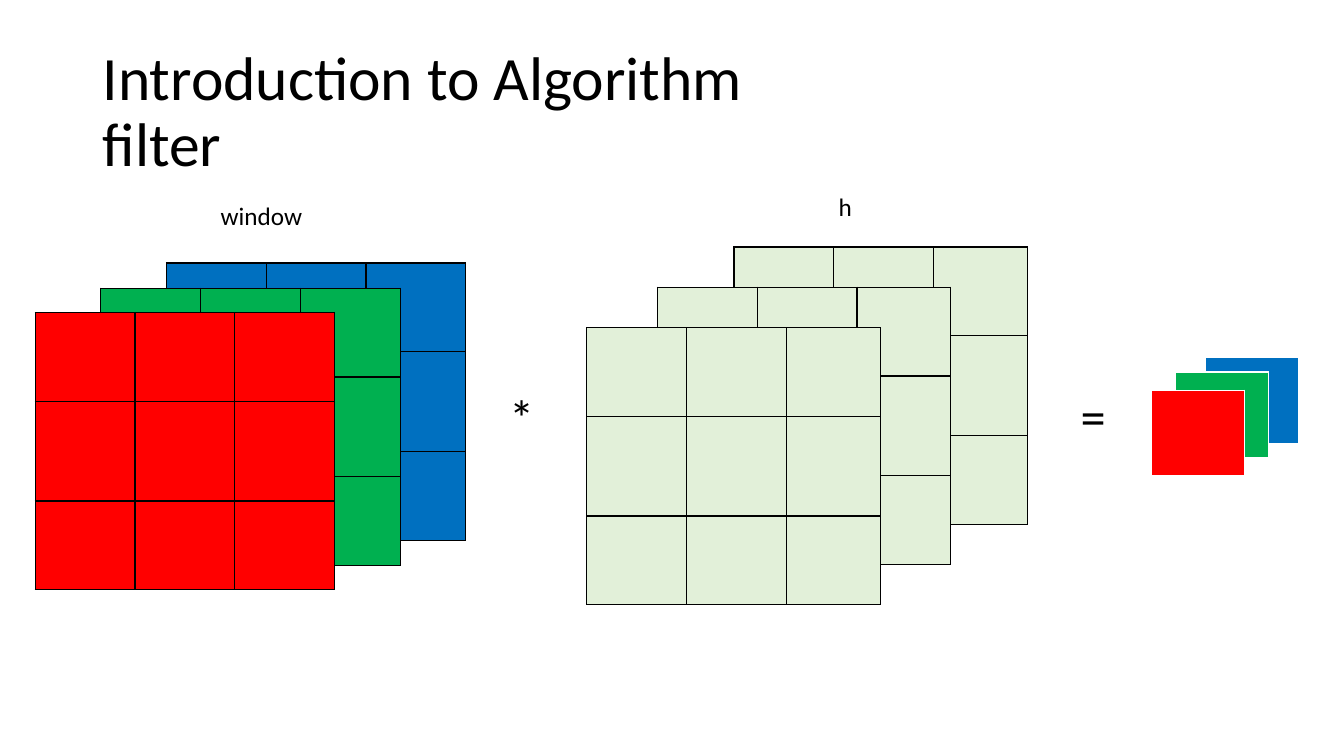
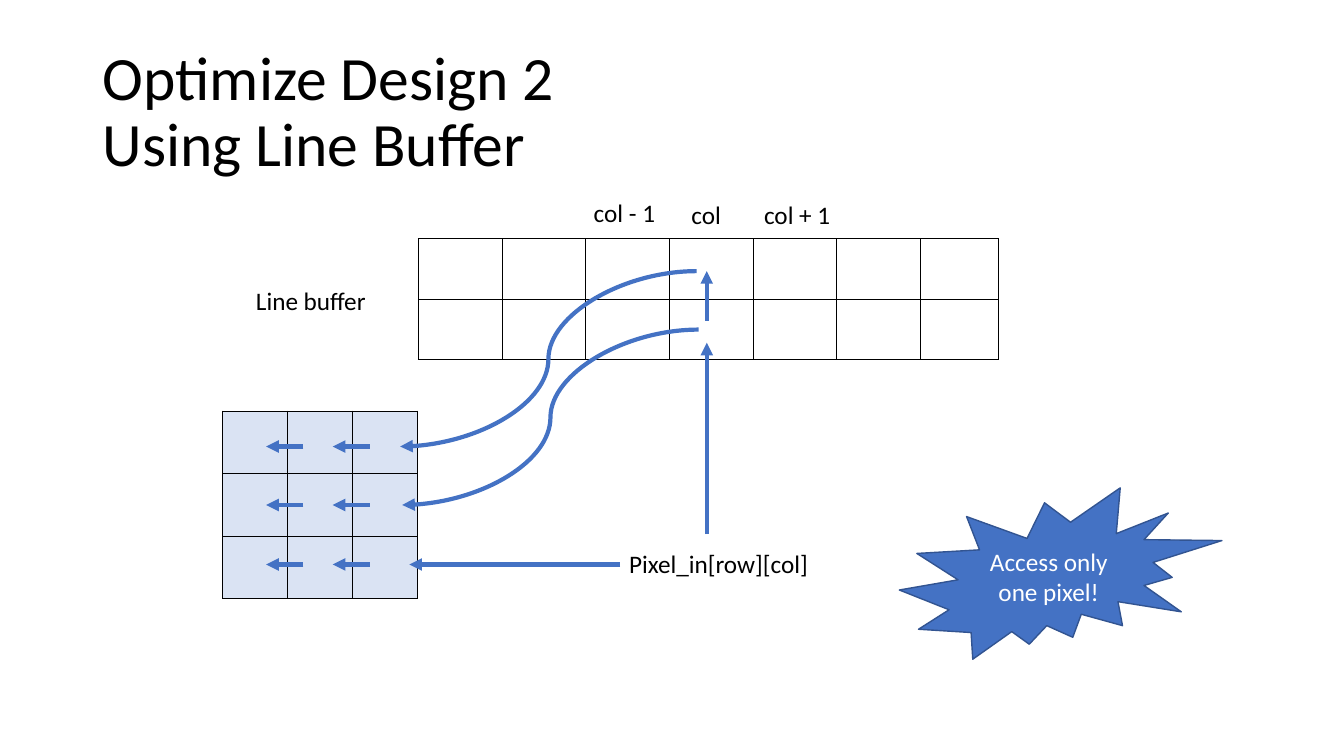
from lxml import etree
from pptx import Presentation, util as u
from pptx.dml import color
from pptx.enum import shapes, text
from pptx.oxml import ns

HUES = {
    "black": "000000", "white": "FFFFFF", "red": "FF0000", "green": "00B050",
    "blue": "0070C0", "mint": "E2F0D9", "pale": "DAE3F3",
    "accent": "4472C4", "edge": "325491",
}
FONT = "Calibri"
TITLE = {"word_wrap": True, "vertical_anchor": text.MSO_ANCHOR.MIDDLE}
LABEL = {"word_wrap": False, "auto_size": text.MSO_AUTO_SIZE.SHAPE_TO_FIT_TEXT}
PLAIN = {"first_row": False, "horz_banding": False}


def hue(name):
    return color.RGBColor.from_string(HUES[name])


def inch(*nums):
    return [u.Inches(n) for n in nums]


def put(item, vals):
    """Set each attribute named in vals on item."""
    for key, val in vals.items():
        setattr(item, key, val)


def node(root, tag, **attrs):
    return etree.SubElement(root, ns.qn(tag), **attrs)


class Deck:
    def __init__(self):
        self.prs = Presentation()
        put(self.prs, {"slide_width": u.Inches(13.33), "slide_height": u.Inches(7.5)})

    def page(self, head):
        """Start a slide with its title."""
        self.slide = self.prs.slides.add_slide(self.prs.slide_layouts[6])
        self.items = self.slide.shapes
        box = self.items.add_textbox(*inch(0.92, 0.4, 11.5, 1.45))
        self.letter(box, head, 44, TITLE).line_spacing = 0.9

    def letter(self, shape, words, size, frame, tint="black"):
        """Give a shape its text and return the paragraph."""
        put(shape.text_frame, frame)
        shape.text_frame.text = words
        para = shape.text_frame.paragraphs[0]
        for run in para.runs:
            put(run.font, {"size": u.Pt(size), "name": FONT})
            run.font.color.rgb = hue(tint)
        return para

    def label(self, words, x, y, w, h=0.4, size=18):
        self.letter(self.items.add_textbox(*inch(x, y, w, h)), words, size, LABEL)

    def grid(self, x, y, cols, rows, fill=None, edge="black", base=1):
        """Draw an empty table; base is the width of the bottom borders."""
        table = self.items.add_table(
            len(rows), len(cols), *inch(x, y, sum(cols), sum(rows))).table
        put(table, PLAIN)
        for col, w in zip(table.columns, cols):
            col.width = u.Inches(w)
        for row, h in zip(table.rows, rows):
            row.height = u.Inches(h)
        for cell in table.iter_cells():
            props = cell._tc.get_or_add_tcPr()
            for side, wide in zip("LRTB", (1, 1, 1, base)):
                line = node(props, f"a:ln{side}", w=str(u.Pt(wide)))
                node(node(line, "a:solidFill"), "a:srgbClr", val=HUES[edge])
            if fill:
                cell.fill.solid()
                cell.fill.fore_color.rgb = hue(fill)
            else:
                cell.fill.background()

    def arrow(self, x, y, to_x, to_y, kind=shapes.MSO_CONNECTOR.STRAIGHT):
        link = self.items.add_connector(kind, *inch(x, y, to_x, to_y))
        link.line.color.rgb = hue("accent")
        link.line.width = u.Pt(3)
        node(link.line._get_or_add_ln(), "a:tailEnd", type="triangle")
        node(link._element.spPr, "a:effectLst")

    def burst(self, words, x, y, w, h):
        star = self.items.add_shape(shapes.MSO_SHAPE.EXPLOSION2, *inch(x, y, w, h))
        star.shadow.inherit = False
        star.fill.solid()
        star.fill.fore_color.rgb = hue("accent")
        star.line.color.rgb = hue("edge")
        star.line.width = u.Pt(1)
        para = self.letter(star, words, 18, TITLE, "white")
        para.alignment = text.PP_ALIGN.CENTER


def filters(deck):
    deck.page("Introduction to Algorithm\vfilter")
    bands = ("blue", "green", "red")
    rows = (0.88, 0.99, 0.88)
    window = ((1.65, 2.61), (1, 2.86), (0.35, 3.1))
    kernel = ((7.28, 2.45), (6.52, 2.85), (5.82, 3.25))
    pixel = ((11.96, 3.55), (11.66, 3.69), (11.42, 3.87))
    for band, win, ker, pix in zip(bands, window, kernel, pixel):
        deck.grid(*win, [0.99] * 3, rows, band)
        deck.grid(*ker, (0.99, 0.99, 0.93), rows, "mint")
        deck.grid(*pix, [0.92], [0.86], band, "white", 3)
    deck.label("window", 2.09, 1.94, 1.02)
    deck.label("h", 8.22, 1.85, 0.34)
    deck.label("*", 4.95, 3.78, 0.45, 0.71, 36)
    deck.label("=", 10.62, 3.77, 0.45, 0.71, 36)


def buffer(deck):
    deck.page("Optimize Design 2\vUsing Line Buffer")
    deck.grid(4.15, 2.37, [0.83] * 6 + [0.77], [0.6] * 2)
    deck.grid(2.21, 4.08, [1.93 / 3] * 3, [0.62] * 3, "pale")
    for words, x, y, w in (
        ("Line buffer", 2.44, 2.78, 1.31),
        ("Pixel_in[row][col]", 6.14, 5.39, 1.99),
        ("col - 1", 5.79, 1.91, 0.82),
        ("col", 6.76, 1.93, 0.5),
        ("col + 1", 7.48, 1.93, 0.87),
    ):
        deck.label(words, x, y, w)
    for x in (3.01, 3.67):
        for y in (4.43, 5.01, 5.6):
            deck.arrow(x, y, x - 0.37, y)
    for x, y in ((6.91, 2.69), (6.93, 3.27)):
        deck.arrow(x, y, x - 2.94, y + 1.74, shapes.MSO_CONNECTOR.CURVE)
    deck.arrow(6.15, 5.6, 4.06, 5.6)
    for y, top in ((3.18, 2.69), (5.3, 3.4)):
        deck.arrow(7.01, y, 7.01, top)
    deck.burst("Access only one pixel!", 8.92, 4.84, 3.2, 1.7)


def main():
    deck = Deck()
    filters(deck)
    buffer(deck)
    deck.prs.save("out.pptx")


if __name__ == "__main__":
    main()
